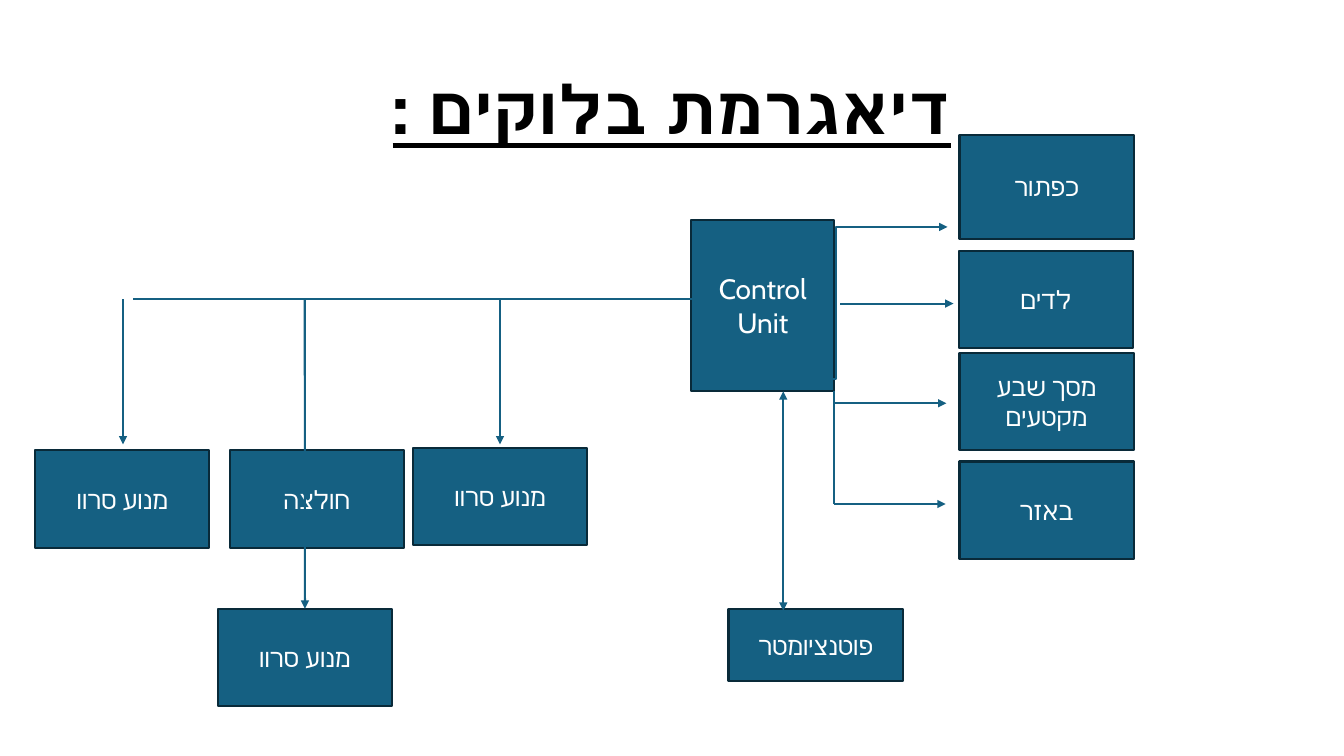
import pptx
import pptx.util
import pptx.dml.color
import pptx.enum.shapes
import pptx.enum.text
import pptx.oxml.ns
from lxml import etree

Cm, Pt = pptx.util.Cm, pptx.util.Pt
KINDS = pptx.enum.shapes.MSO_CONNECTOR
FILL, EDGE, WHITE, BLACK = "156082", "092A39", "FFFFFF", "000000"

# Content: lengths in centimetres
TITLE = "דיאגרמת בלוקים :"
WIDTH, HEIGHT = 4.39, 2.46
# name: (lines, left, top, width, height, size, font, right to left)
BLOCKS = {
    "board": (["Control", "Unit"], 17.42, 5.54, 3.61, 4.32, 20, "Cabin", False),
    "button": (["כפתור"], 24.18, 3.4, WIDTH, 2.62, 18, "Cabin", False),
    "display": (["מסך שבע מקטעים"], 24.18, 8.89, WIDTH, HEIGHT, 18, "Cabin", False),
    "buzzer": (["באזר"], 24.18, 11.63, WIDTH, HEIGHT, 18, "Cabin", False),
    "potentiometer": (["פוטנציומטר"], 18.36, 15.34, WIDTH, 1.83, 18, "Cabin", False),
    "leds": (["לדים"], 24.16, 6.32, WIDTH, HEIGHT, 18, "Arial", False),
    "right servo": (["מנוע סרוו"], 10.41, 11.28, WIDTH, HEIGHT, 18, "Arial", False),
    "left servo": (["מנוע סרוו"], 0.89, 11.35, WIDTH, HEIGHT, 18, "Arial", False),
    "shirt servo": (["מנוע סרוו"], 5.49, 15.34, WIDTH, HEIGHT, 18, "Arial", False),
    "shirt": (["חולצה"], 5.79, 11.35, WIDTH, HEIGHT, 18, "Cabin", True),
}
BUS, TRUNK, POT = 7.54, 21.01, 19.74
# (kind, from x, from y, to x, to y, arrowhead, block whose top it meets)
LINES = [
    (KINDS.ELBOW, 18.24, 9.55, 23.88, 5.72, True, None),
    (KINDS.STRAIGHT, TRUNK, 10.16, 23.85, 10.16, True, None),
    (KINDS.STRAIGHT, POT, 10.16, POT, 15.39, True, None),
    (KINDS.STRAIGHT, 17.45, BUS, 3.35, BUS, False, None),
    (KINDS.STRAIGHT, 21.18, 7.65, 24.03, 7.65, True, None),
    (KINDS.STRAIGHT, POT, 11.94, POT, 9.86, True, None),
    (KINDS.STRAIGHT, TRUNK, 12.7, 23.83, 12.7, True, None),
    (KINDS.STRAIGHT, 12.6, BUS, 12.6, 11.2, True, None),
    (KINDS.STRAIGHT, 3.1, BUS, 3.1, 11.2, True, None),
    (KINDS.STRAIGHT, 7.68, BUS, 7.68, 15.34, True, "shirt servo"),
    (KINDS.STRAIGHT, TRUNK, 12.7, TRUNK, 9.86, False, None),
]


def color(value):
    return pptx.dml.color.RGBColor.from_string(value)


def add_xml(parent, tag, **attributes):
    return etree.SubElement(parent, pptx.oxml.ns.qn(tag), attributes)


def write(shape, lines, size, font, ink, rtl=False, bold=None, underline=None, spacing=None):
    frame = shape.text_frame
    frame.word_wrap = True
    frame.vertical_anchor = pptx.enum.text.MSO_ANCHOR.MIDDLE
    frame.text = "\n".join(lines)
    for para in frame.paragraphs:
        para.alignment = pptx.enum.text.PP_ALIGN.CENTER
        para.line_spacing = spacing
        if rtl:
            para._p.get_or_add_pPr().set("rtl", "1")
        para.font.size = Pt(size)
        para.font.name = font
        para.font.bold = bold
        para.font.underline = underline
        para.font.color.rgb = color(ink)


def add_block(page, lines, left, top, width, height, size, font, rtl):
    box = page.shapes.add_shape(pptx.enum.shapes.MSO_SHAPE.RECTANGLE,
                                Cm(left), Cm(top), Cm(width), Cm(height))
    box.shadow.inherit = False
    box.fill.solid()
    box.fill.fore_color.rgb = color(FILL)
    box.line.color.rgb = color(EDGE)
    box.line.width = Pt(1.5)
    write(box, lines, size, font, WHITE, rtl)
    return box


def add_line(page, kind, x1, y1, x2, y2, arrow):
    line = page.shapes.add_connector(kind, Cm(x1), Cm(y1), Cm(x2), Cm(y2))
    line.line.color.rgb = color(FILL)
    line.line.width = Pt(1.5)
    if arrow:
        add_xml(line.line._get_or_add_ln(), "a:tailEnd", type="triangle")
    add_xml(line._element.spPr, "a:effectLst")
    return line


def main():
    deck = pptx.Presentation()
    deck.slide_width, deck.slide_height = Cm(33.87), Cm(19.05)
    page = deck.slides.add_slide(deck.slide_layouts[6])

    # Title
    title = page.shapes.add_textbox(Cm(2.33), Cm(1.01), Cm(29.21), Cm(3.68))
    write(title, [TITLE], 48, "Cabin", BLACK, rtl=True, bold=True, underline=True, spacing=0.9)

    # Blocks
    boxes = {name: add_block(page, *block) for name, block in BLOCKS.items()}

    # Connections
    for *route, target in LINES:
        line = add_line(page, *route)
        if target:
            line.end_connect(boxes[target], 0)

    deck.save("out.pptx")


if __name__ == "__main__":
    main()
